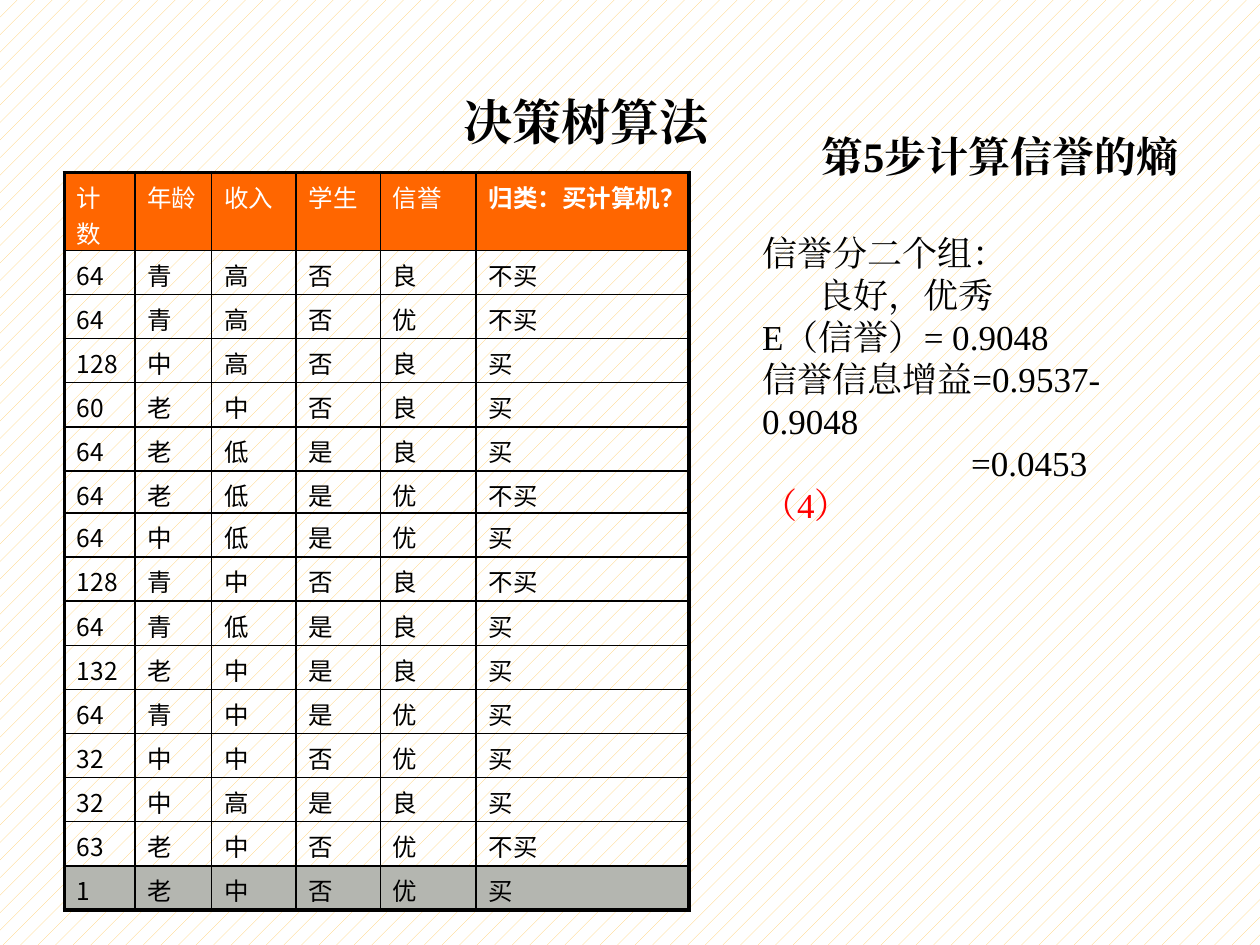
from dataclasses import dataclass
from typing import Optional

from lxml.etree import SubElement
from pptx import Presentation
from pptx.dml.color import RGBColor as Color
from pptx.enum.dml import MSO_PATTERN as Pattern
from pptx.oxml.ns import qn
from pptx.util import Inches, Pt


@dataclass(frozen=True)
class Theme:
    ink: str = "000000"
    paper: str = "FFFFFF"
    stripe: str = "FFCC66"
    header: str = "FF6600"
    last_row: str = "B4B6B0"
    accent: str = "FF0000"
    text_font: str = "Times New Roman"
    table_font: str = "Noto Sans CJK JP"
    title_size: int = 28
    heading_size: int = 24
    body_size: int = 20
    table_size: int = 14
    thin: float = 1
    thick: float = 2.25


@dataclass(frozen=True)
class Line:
    text: str
    indent: float = 0


@dataclass(frozen=True)
class TextBlock:
    left: float
    top: float
    width: float
    height: float
    size: int
    lines: tuple[Line, ...]
    bold: bool = False


THEME = Theme()
COLUMN_WIDTHS = (0.56, 0.61, 0.67, 0.67, 0.76, 1.69)
HEADER_HEIGHT, ROW_HEIGHT, SHORT_HEIGHT, SHORT_ROW = 0.56, 0.35, 0.33, 6
HEADERS = ("计数", "年龄", "收入", "学生", "信誉", "归类：买计算机？")
RECORDS = """64 青 高 否 良 不买
64 青 高 否 优 不买
128 中 高 否 良 买
60 老 中 否 良 买
64 老 低 是 良 买
64 老 低 是 优 不买
64 中 低 是 优 买
128 青 中 否 良 不买
64 青 低 是 良 买
132 老 中 是 良 买
64 青 中 是 优 买
32 中 中 否 优 买
32 中 高 是 良 买
63 老 中 否 优 不买
1 老 中 否 优 买"""
ROWS = [HEADERS, *(record.split() for record in RECORDS.splitlines())]

TITLE = TextBlock(3.58, 0.68, 2.15, 0.57, THEME.title_size, (Line("决策树算法"),), True)
HEADING = TextBlock(6.42, 0.99, 3.03, 0.5, THEME.heading_size, (Line("第5步计算信誉的熵"),), True)
BODY = TextBlock(5.95, 1.79, 3.64, 1.77, THEME.body_size, (
    Line("信誉分二个组："),
    Line("良好，优秀", 0.45),
    Line("E（信誉）= 0.9048"),
    Line("信誉信息增益=0.9537-0.9048"),
    Line("=0.0453\v（4）", 1.66),
))


def format_span(span, font: str, size: int, color: str, bold: bool) -> None:
    """Apply one typeface, size, colour and weight to a run."""
    span.font.name = font
    span.font.size = Pt(size)
    span.font.bold = bold
    span.font.color.rgb = Color.from_string(color)
    east_asian = SubElement(span.font._element, qn("a:ea"))
    east_asian.set("typeface", font)


def draw_text(page, block: TextBlock):
    """Draw a wrapping text box and return it."""
    box = page.shapes.add_textbox(
        Inches(block.left), Inches(block.top), Inches(block.width), Inches(block.height))
    frame = box.text_frame
    frame.word_wrap = True
    frame.text = "\n".join(line.text for line in block.lines)
    for para, line in zip(frame.paragraphs, block.lines):
        if line.indent:
            para._p.get_or_add_pPr().set("indent", str(Inches(line.indent)))
        for span in para.runs:
            format_span(span, THEME.text_font, block.size, THEME.ink, block.bold)
    return box


def set_border(cell, side: str, width: float) -> None:
    """Add a solid border to one side of a cell."""
    border = SubElement(cell._tc.get_or_add_tcPr(), qn(f"a:ln{side}"), w=str(Pt(width)))
    fill = SubElement(border, qn("a:solidFill"))
    SubElement(fill, qn("a:srgbClr"), val=THEME.ink)


def draw_cell(cell, text: str, fill: Optional[str], color: str, bold: bool) -> None:
    """Write and fill one table cell."""
    cell.margin_top, cell.margin_bottom = Inches(0.05), 0
    cell.text_frame.text = text
    format_span(cell.text_frame.paragraphs[0].runs[0],
                THEME.table_font, THEME.table_size, color, bold)
    if fill:
        cell.fill.solid()
        cell.fill.fore_color.rgb = Color.from_string(fill)
    else:
        cell.fill.background()


def draw_table(page) -> None:
    """Draw the training records with a thick outer frame."""
    heights = [HEADER_HEIGHT] + [ROW_HEIGHT] * (len(ROWS) - 1)
    heights[SHORT_ROW] = SHORT_HEIGHT
    table = page.shapes.add_table(
        len(ROWS), len(HEADERS), Inches(0.51), Inches(1.37),
        Inches(sum(COLUMN_WIDTHS)), Inches(sum(heights))).table
    table.first_row = table.horz_banding = False
    for column, width in zip(table.columns, COLUMN_WIDTHS):
        column.width = Inches(width)
    last_row, last_column = len(ROWS) - 1, len(HEADERS) - 1
    fills = {0: THEME.header, last_row: THEME.last_row}
    for row_index, (values, height) in enumerate(zip(ROWS, heights)):
        table.rows[row_index].height = Inches(height)
        for column_index, value in enumerate(values):
            cell = table.cell(row_index, column_index)
            outer = {"L": column_index == 0, "R": column_index == last_column,
                     "T": row_index == 0, "B": row_index == last_row}
            for side, is_outer in outer.items():
                set_border(cell, side, THEME.thick if is_outer else THEME.thin)
            draw_cell(cell, value, fills.get(row_index),
                      THEME.paper if row_index == 0 else THEME.ink,
                      row_index == 0 and column_index == last_column)


def main() -> None:
    """Build and save the slide."""
    deck = Presentation()
    deck.slide_width, deck.slide_height = Inches(10), Inches(7.5)
    page = deck.slides.add_slide(deck.slide_layouts[6])
    backdrop = page.background.fill
    backdrop.patterned()
    backdrop.pattern = Pattern.PERCENT_5
    backdrop.fore_color.rgb = Color.from_string(THEME.stripe)
    backdrop.back_color.rgb = Color.from_string(THEME.paper)
    draw_table(page)
    draw_text(page, HEADING)
    body = draw_text(page, BODY)
    step_number = body.text_frame.paragraphs[-1].runs[-1]
    step_number.font.color.rgb = Color.from_string(THEME.accent)
    draw_text(page, TITLE)
    deck.save("out.pptx")


if __name__ == "__main__":
    main()
